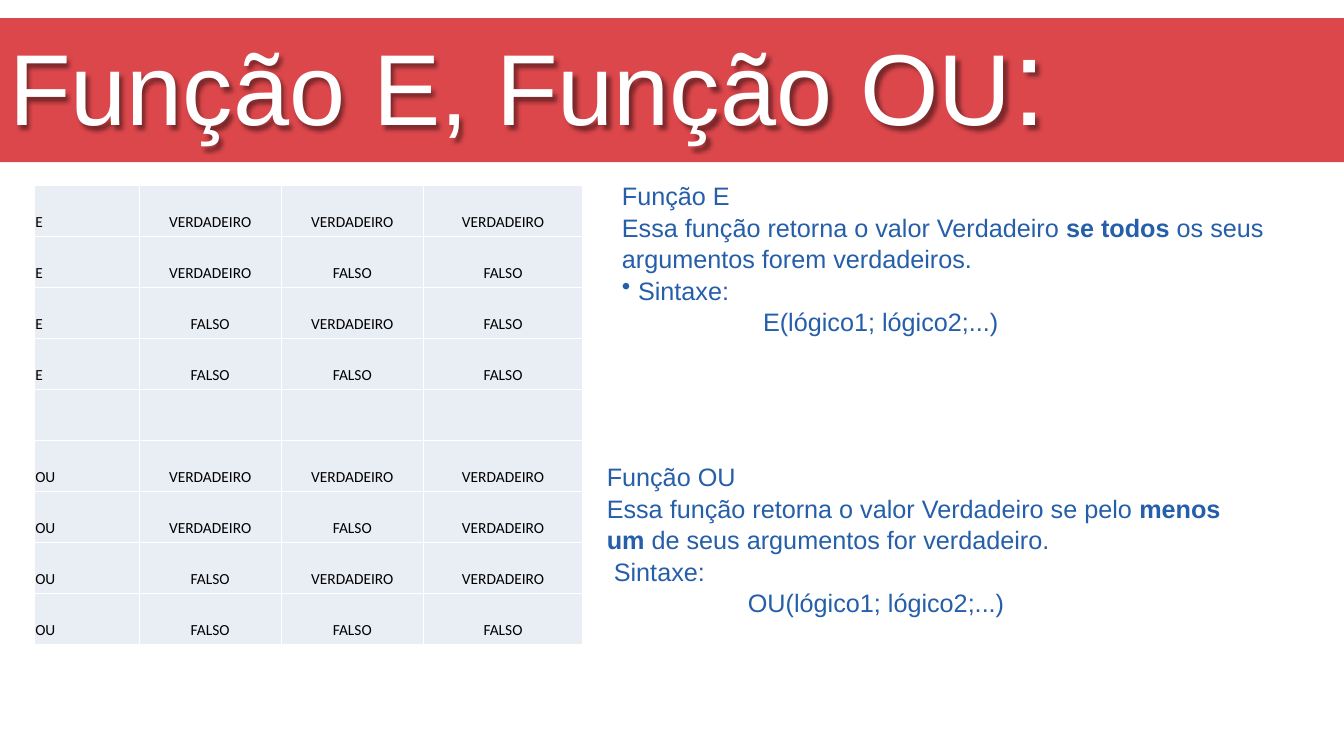
from dataclasses import dataclass

from lxml.etree import SubElement
from pptx import Presentation
from pptx.dml.color import RGBColor
from pptx.enum.shapes import MSO_SHAPE
from pptx.enum.text import MSO_ANCHOR, MSO_AUTO_SIZE, PP_ALIGN
from pptx.oxml import parse_xml
from pptx.oxml.ns import nsdecls, qn
from pptx.util import Inches, Pt


@dataclass(frozen=True)
class Theme:
    """Colours, fonts and type sizes of the slide."""
    band: str = "DC474B"
    white: str = "FFFFFF"
    cell: str = "E9EDF4"
    black: str = "000000"
    blue: str = "255EA9"
    heading_font: str = "Arial"
    table_font: str = "Calibri"
    title_size: int = 72
    colon_size: int = 88
    body_size: int = 18
    table_size: int = 11


@dataclass(frozen=True)
class Span:
    """A stretch of text with its own emphasis or size."""
    text: str
    bold: bool = False
    size: int | None = None


@dataclass(frozen=True)
class Line:
    """A paragraph: its spans, left indent in inches and optional bullet."""
    spans: tuple[Span, ...]
    indent: float = 0
    bullet: str = ""


@dataclass(frozen=True)
class Explanation:
    """The description of one function and where it stands."""
    left: float
    top: float
    lines: tuple[Line, ...]


THEME = Theme()
SYNTAX_INDENT = 1.4

TRUE, FALSE = "VERDADEIRO", "FALSO"
INPUTS = [(a, b) for a in (True, False) for b in (True, False)]
RULES = {"E": all, "OU": any}
COLUMN_WIDTHS = (1.04, 1.41, 1.41, 1.58)
TABLE_HEIGHT = 4.56

EXPLANATIONS = (
    Explanation(6.07, 1.73, (
        Line((Span("Função E"),)),
        Line((Span("Essa função retorna o valor Verdadeiro "),
              Span("se todos", bold=True),
              Span(" os seus argumentos forem verdadeiros."))),
        Line((Span("Sintaxe:"),), indent=0.16, bullet="•"),
        Line((Span("E(lógico1; lógico2;...)"),), indent=SYNTAX_INDENT),
    )),
    Explanation(5.92, 4.52, (
        Line((Span("Função OU"),)),
        Line((Span("Essa função retorna o valor Verdadeiro se pelo "),
              Span("menos um ", bold=True),
              Span("de seus argumentos for verdadeiro."))),
        Line((Span("Sintaxe:"),), indent=0.07),
        Line((Span("OU(lógico1; lógico2;...)"),), indent=SYNTAX_INDENT),
    )),
)


def write(frame, lines: tuple[Line, ...], *, font: str, size: int, color: str,
          align=PP_ALIGN.LEFT, spacing: float = 1.0) -> None:
    """Fill a text frame with formatted paragraphs."""
    for number, line in enumerate(lines):
        paragraph = frame.add_paragraph() if number else frame.paragraphs[0]
        paragraph.alignment = align
        paragraph.line_spacing = spacing
        if line.indent:
            properties = paragraph._p.get_or_add_pPr()
            margin = Inches(line.indent)
            properties.set("marL", str(margin))
            properties.set("indent", str(-margin if line.bullet else 0))
            if line.bullet:
                SubElement(properties, qn("a:buChar"), char=line.bullet)
        for span in line.spans:
            run = paragraph.add_run()
            run.text = span.text
            run.font.name = font
            run.font.size = Pt(span.size or size)
            run.font.bold = span.bold
            run.font.color.rgb = RGBColor.from_string(color)


def add_band(slide) -> None:
    """Draw the red band behind the title."""
    band = slide.shapes.add_shape(MSO_SHAPE.RECTANGLE, 0, Inches(0.18),
                                  Inches(13.33), Inches(1.43))
    band.shadow.inherit = False
    band.fill.solid()
    band.fill.fore_color.rgb = RGBColor.from_string(THEME.band)
    band.line.fill.background()


def format_title(slide) -> None:
    """Place the title over the band and give its letters a soft shadow."""
    title = slide.shapes.title
    title.left, title.top = Inches(-0.01), Inches(0.09)
    title.width, title.height = Inches(10.64), Inches(1.34)
    frame = title.text_frame
    frame.auto_size = MSO_AUTO_SIZE.NONE
    frame.vertical_anchor = MSO_ANCHOR.MIDDLE
    write(frame, (Line((Span("Função E, Função OU"),
                        Span(":", size=THEME.colon_size))),),
          font=THEME.heading_font, size=THEME.title_size, color=THEME.white)
    title.element.spPr.append(parse_xml(
        f'<a:effectLst {nsdecls("a")}><a:outerShdw blurRad="38100" dist="38100" '
        f'dir="2700000" algn="tl"><a:srgbClr val="{THEME.black}">'
        '<a:alpha val="43000"/></a:srgbClr></a:outerShdw></a:effectLst>'))
    slide.shapes._spTree.append(title.element)


def truth_rows() -> list[tuple[str, ...]]:
    """Work out both truth tables, with an empty row between them."""
    def word(value: bool) -> str:
        return TRUE if value else FALSE

    blocks = [[(name, word(a), word(b), word(rule((a, b)))) for a, b in INPUTS]
              for name, rule in RULES.items()]
    return blocks[0] + [("",) * len(COLUMN_WIDTHS)] + blocks[1]


def format_cell(cell, text: str, align) -> None:
    """Fill, border and write one table cell."""
    cell.margin_left = cell.margin_right = cell.margin_top = Inches(0.01)
    cell.margin_bottom = Inches(0.05)
    cell.vertical_anchor = MSO_ANCHOR.BOTTOM
    properties = cell._tc.get_or_add_tcPr()
    for edge in ("lnL", "lnR", "lnT", "lnB"):
        border = SubElement(properties, qn(f"a:{edge}"), w=str(Pt(1)))
        fill = SubElement(border, qn("a:solidFill"))
        SubElement(fill, qn("a:srgbClr"), val=THEME.white)
    cell.fill.solid()
    cell.fill.fore_color.rgb = RGBColor.from_string(THEME.cell)
    if text:
        write(cell.text_frame, (Line((Span(text),)),), font=THEME.table_font,
              size=THEME.table_size, color=THEME.black, align=align)


def add_truth_table(slide) -> None:
    """Add the table of results for E and OU."""
    rows = truth_rows()
    table = slide.shapes.add_table(
        len(rows), len(COLUMN_WIDTHS), Inches(0.34), Inches(1.84),
        Inches(sum(COLUMN_WIDTHS)), Inches(TABLE_HEIGHT)).table
    table.first_row = table.horz_banding = False
    for column, width in zip(table.columns, COLUMN_WIDTHS):
        column.width = Inches(width)
    for r, row in enumerate(rows):
        table.rows[r].height = Inches(TABLE_HEIGHT / len(rows))
        for c, text in enumerate(row):
            format_cell(table.cell(r, c), text,
                        PP_ALIGN.CENTER if c else PP_ALIGN.LEFT)


def add_explanation(slide, explanation: Explanation) -> None:
    """Add the text that explains one function."""
    frame = slide.shapes.add_textbox(
        Inches(explanation.left), Inches(explanation.top),
        Inches(6.67), Inches(1.62)).text_frame
    frame.word_wrap = True
    write(frame, explanation.lines, font=THEME.heading_font,
          size=THEME.body_size, color=THEME.blue, spacing=1.04)


def main() -> None:
    """Build the slide and save it."""
    deck = Presentation()
    deck.slide_width, deck.slide_height = Inches(13.33), Inches(7.5)
    slide = deck.slides.add_slide(deck.slide_layouts[5])
    add_band(slide)
    format_title(slide)
    add_truth_table(slide)
    for explanation in EXPLANATIONS:
        add_explanation(slide, explanation)
    deck.save("out.pptx")


main()
